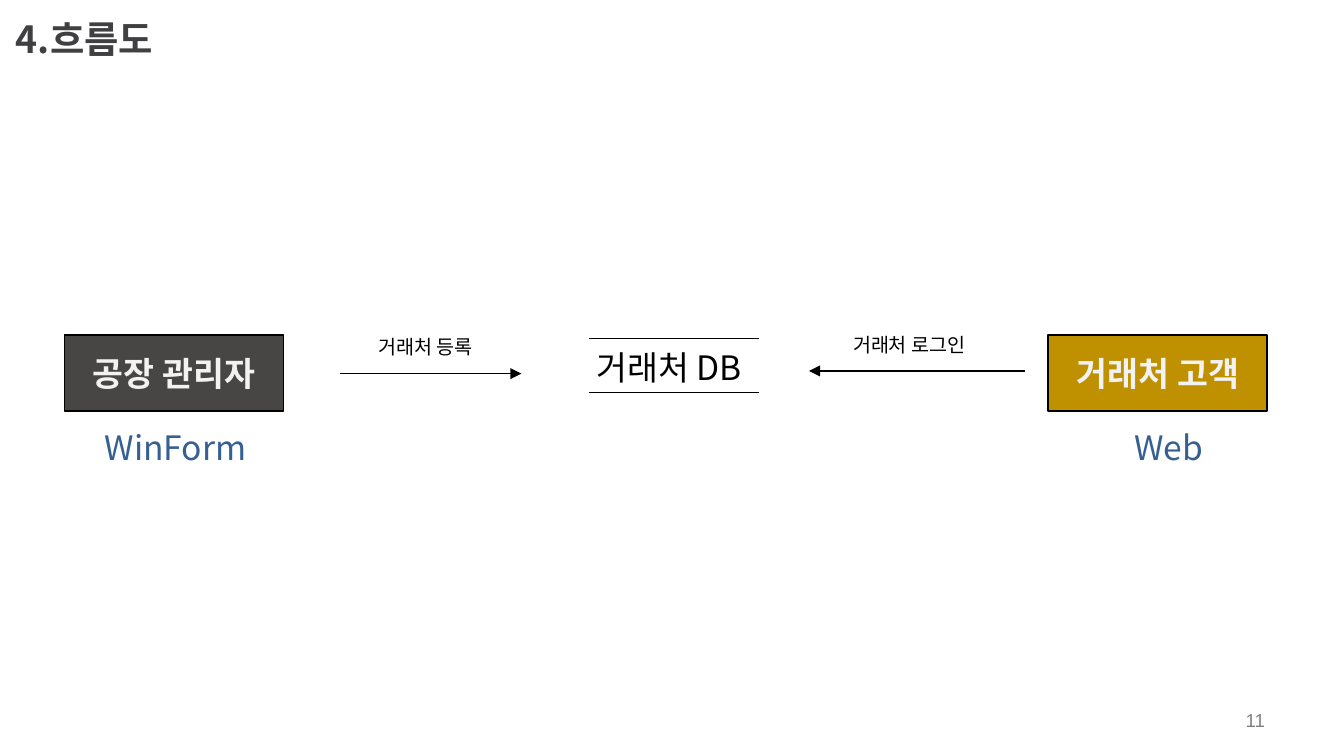
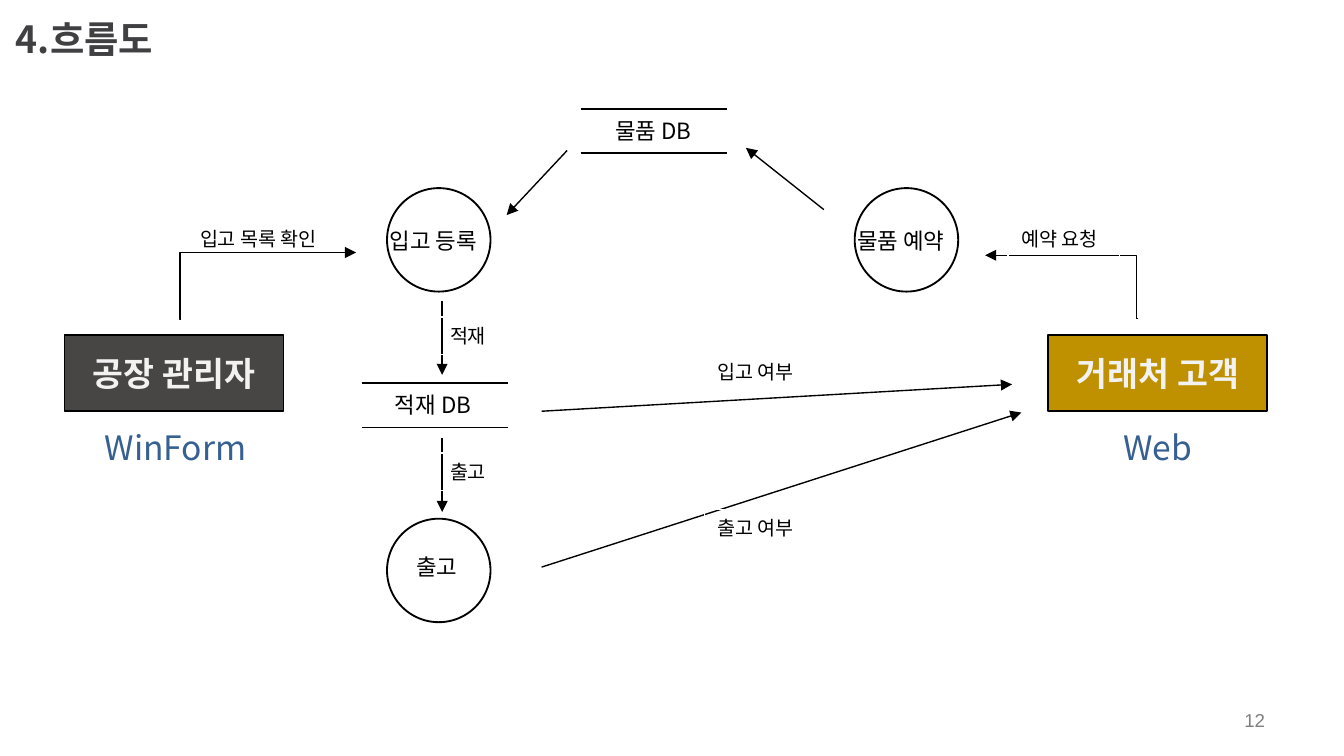
"""Builds two flow-diagram slides for a warehouse system."""
from lxml import etree
from pptx import Presentation
from pptx.dml.color import RGBColor
from pptx.enum.shapes import MSO_CONNECTOR, MSO_SHAPE
from pptx.enum.text import MSO_ANCHOR, PP_ALIGN
from pptx.oxml.ns import qn
from pptx.util import Emu, Pt

PX = 9144
BODY_FONT = "Noto Sans CJK KR"
NUMBER_FONT = "Arial"
BLACK = RGBColor(0x00, 0x00, 0x00)
WHITE = RGBColor(0xFF, 0xFF, 0xFF)
TITLE_GREY = RGBColor(0x40, 0x40, 0x42)
NUMBER_GREY = RGBColor(0x80, 0x80, 0x80)
MANAGER_GREY = RGBColor(0x47, 0x46, 0x44)
CUSTOMER_GOLD = RGBColor(0xBF, 0x90, 0x00)
ACTOR_TEXT = RGBColor(0xF2, 0xF2, 0xF2)
PLATFORM_BLUE = RGBColor(0x37, 0x60, 0x92)

RECTANGLE = MSO_SHAPE.RECTANGLE
OVAL = MSO_SHAPE.OVAL
STRAIGHT = MSO_CONNECTOR.STRAIGHT
ELBOW = MSO_CONNECTOR.ELBOW
LEFT, CENTER, RIGHT = PP_ALIGN.LEFT, PP_ALIGN.CENTER, PP_ALIGN.RIGHT
TOP, MIDDLE = MSO_ANCHOR.TOP, MSO_ANCHOR.MIDDLE

CIRCLE_SIZE = 77
LABEL_HEIGHT = 28


def px(*lengths):
    """Turn pixel lengths into EMU."""
    return [Emu(length * PX) for length in lengths]


def write(shape, text, size, color=BLACK, bold=False, font_name=BODY_FONT,
          align=LEFT, anchor=TOP, wrap=False):
    """Put one formatted line of text into a shape."""
    frame = shape.text_frame
    frame.text = text
    frame.word_wrap = wrap
    frame.vertical_anchor = anchor
    paragraph = frame.paragraphs[0]
    paragraph.alignment = align
    run = paragraph.runs[0]
    font = run.font
    font.size = Pt(size)
    font.bold = bold
    font.color.rgb = color
    font.name = font_name
    east_asian = etree.SubElement(run._r.get_or_add_rPr(), qn("a:ea"))
    east_asian.set("typeface", font_name)


def add_text(slide, box, text, size, **style):
    """Add a plain text box."""
    write(slide.shapes.add_textbox(*px(*box)), text, size, **style)


def add_outline(slide, kind, box, line_color=BLACK, width=1, fill=None):
    """Add a preset shape with a flat outline and optional fill."""
    shape = slide.shapes.add_shape(kind, *px(*box))
    shape.shadow.inherit = False
    if fill is None:
        shape.fill.background()
    else:
        shape.fill.solid()
        shape.fill.fore_color.rgb = fill
    shape.line.color.rgb = line_color
    shape.line.width = Pt(width)
    return shape


def add_label(slide, box, text, size=10.5, color=BLACK):
    """Add a caption with a white hairline around it."""
    shape = add_outline(slide, RECTANGLE, box, WHITE, 0)
    write(shape, text, size, color)


def add_actor(slide, left, text, fill):
    """Add the box of a person who uses the system."""
    shape = add_outline(slide, RECTANGLE, (left, 249, 163, 57), fill=fill)
    write(shape, text, 18, ACTOR_TEXT, bold=True, align=CENTER,
          anchor=MIDDLE, wrap=True)


def add_line(slide, start, end, kind=STRAIGHT):
    """Add a thin black connector."""
    connector = slide.shapes.add_connector(kind, *px(*start, *end))
    connector.line.color.rgb = BLACK
    connector.line.width = Pt(0.75)
    etree.SubElement(connector._element.spPr, qn("a:effectLst"))
    return connector


def add_arrow(slide, start, end, kind=STRAIGHT):
    """Add a connector with a triangle at its end."""
    connector = add_line(slide, start, end, kind)
    tail = etree.SubElement(connector.line._get_or_add_ln(), qn("a:tailEnd"))
    tail.set("type", "triangle")
    return connector


def add_elbow_arrow(slide, start, end, bend):
    """Add a bent arrow that turns at bend, in 1/100000 of its width."""
    connector = add_arrow(slide, start, end, ELBOW)
    geometry = connector._element.spPr.find(qn("a:prstGeom"))
    guides = geometry.find(qn("a:avLst"))
    if guides is None:
        guides = etree.SubElement(geometry, qn("a:avLst"))
    guide = etree.SubElement(guides, qn("a:gd"))
    guide.set("name", "adj1")
    guide.set("fmla", f"val {bend}")


def add_store(slide, box, text, text_left, text_width, size):
    """Add a data store: a name between two rules."""
    left, top, width, height = box
    for y in (top, top + height):
        add_line(slide, (left, y), (left + width, y))
    add_text(slide, (text_left, top + 1, text_width, height - 2), text, size)


def add_process(slide, left, top, text, text_box):
    """Add a process circle and its name."""
    add_outline(slide, OVAL, (left, top, CIRCLE_SIZE, CIRCLE_SIZE))
    add_text(slide, (*text_box, LABEL_HEIGHT), text, 12)


def add_flow_slide(presentation, number, web_left):
    """Add a slide with the title, number, actors and platforms."""
    slide = presentation.slides.add_slide(presentation.slide_layouts[6])
    add_text(slide, (2, 0, 348, 57), "4.흐름도", 20, color=TITLE_GREY,
             bold=True, anchor=MIDDLE)
    add_text(slide, (717, 521, 234, 30), str(number), 10, color=NUMBER_GREY,
             font_name=NUMBER_FONT, align=RIGHT, anchor=MIDDLE, wrap=True)
    add_actor(slide, 48, "공장 관리자", MANAGER_GREY)
    add_actor(slide, 780, "거래처 고객", CUSTOMER_GOLD)
    add_text(slide, (68, 313, 127, 41), "WinForm", 18, color=PLATFORM_BLUE)
    add_label(slide, (web_left, 313, 72, 41), "Web", 18, PLATFORM_BLUE)
    return slide


def build_account_flow(presentation):
    """Build the client registration and login flow."""
    slide = add_flow_slide(presentation, 11, 834)
    add_store(slide, (438, 252, 127, 40), "거래처 DB", 434, 136, 18)
    add_label(slide, (272, 244, 98, LABEL_HEIGHT), "거래처 등록")
    add_arrow(slide, (253, 278), (388, 278))
    add_label(slide, (625, 243, 112, LABEL_HEIGHT), "거래처 로그인")
    add_arrow(slide, (763, 276), (602, 276))


def build_goods_flow(presentation):
    """Build the booking, receiving, storing and shipping flow."""
    slide = add_flow_slide(presentation, 12, 826)
    add_process(slide, 288, 140, "입고 등록", (280, 164, 86))
    add_process(slide, 636, 140, "물품 예약", (628, 164, 86))
    add_process(slide, 288, 386, "출고", (300, 407, 53))
    add_store(slide, (432, 81, 109, 33), "물품 DB", 448, 84, 12)
    add_store(slide, (269, 285, 109, 33), "적재 DB", 284, 84, 12)

    add_elbow_arrow(slide, (847, 237), (733, 190), 1300)
    add_elbow_arrow(slide, (135, 238), (265, 188), -900)
    for start, end in (
        ((613, 156), (555, 110)),
        ((422, 112), (377, 160)),
        ((329, 224), (329, 279)),
        ((329, 326), (329, 381)),
        ((403, 306), (753, 286)),
        ((403, 422), (760, 307)),
    ):
        add_arrow(slide, start, end)

    add_text(slide, (139, 164, 117, LABEL_HEIGHT), "입고 목록 확인", 10.5)
    for left, top, width, text in (
        (750, 164, 83, "예약 요청"),
        (325, 236, 49, "적재"),
        (325, 337, 49, "출고"),
        (524, 263, 83, "입고 여부"),
        (524, 379, 83, "출고 여부"),
    ):
        add_label(slide, (left, top, width, LABEL_HEIGHT), text)


def main():
    """Build and save the presentation."""
    presentation = Presentation()
    presentation.slide_width = Emu(1000 * PX)
    presentation.slide_height = Emu(presentation.slide_width * 9 // 16)
    build_account_flow(presentation)
    build_goods_flow(presentation)
    presentation.save("out.pptx")


if __name__ == "__main__":
    main()
